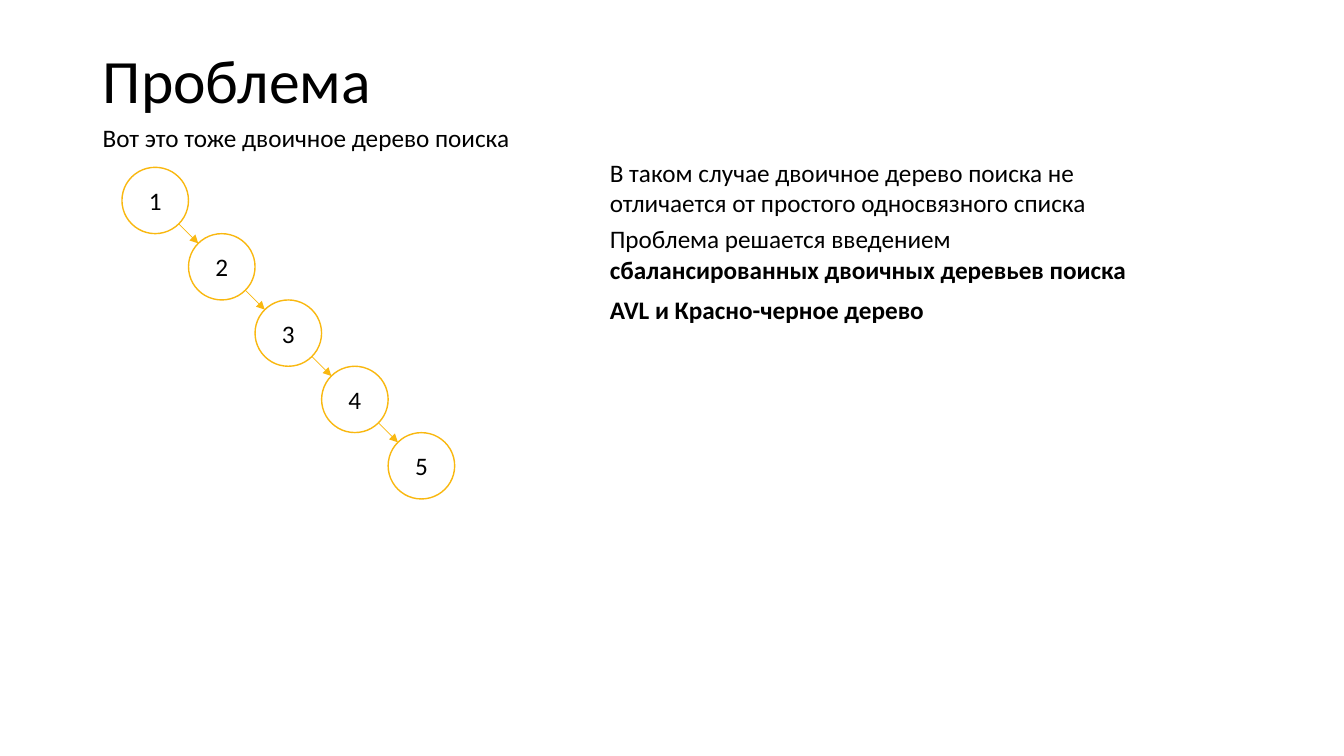
from math import sqrt

from pptx import Presentation
from pptx.dml.color import RGBColor
from pptx.enum.shapes import MSO_CONNECTOR, MSO_SHAPE
from pptx.enum.text import MSO_ANCHOR, MSO_AUTO_SIZE, PP_ALIGN
from pptx.oxml.ns import qn
from pptx.util import Pt
from lxml.etree import SubElement

PX = 9144  # 100 px to the inch
FONT = "Calibri"
COLORS = {"text": "000000", "paper": "FFFFFF", "gold": "F9B810"}


def px(*lengths):
    return [round(length * PX) for length in lengths]


def color(name):
    return RGBColor.from_string(COLORS[name])


def write(shape, *spans, size=18, align=PP_ALIGN.LEFT, anchor=MSO_ANCHOR.TOP,
          wrap=True, fit=MSO_AUTO_SIZE.NONE, spacing=None):
    """Write (text, bold) spans as one paragraph of the shape."""
    frame = shape.text_frame
    frame.word_wrap = wrap
    frame.auto_size = fit
    frame.vertical_anchor = anchor
    para = frame.paragraphs[0]
    para.alignment = align
    para.line_spacing = spacing
    for text, bold in spans:
        span = para.add_run()
        span.text = text
        span.font.name = FONT
        span.font.size = Pt(size)
        span.font.bold = bold
        span.font.color.rgb = color("text")


def add_text(page, box, *spans, **text_format):
    text_box = page.shapes.add_textbox(*px(*box))
    write(text_box, *spans, fit=MSO_AUTO_SIZE.SHAPE_TO_FIT_TEXT, **text_format)


def add_heading(page, box):
    left, top, width, height = box
    title = page.shapes.title
    title.left, title.top, title.width, title.height = px(left, top, width, height)
    write(title, ("Проблема", False), size=44, anchor=MSO_ANCHOR.MIDDLE, spacing=0.9)
    add_text(page, (left, top + 76, 429, 40),
             ("Вот это тоже двоичное дерево поиска", False), wrap=False)


def add_node(page, box, label):
    node = page.shapes.add_shape(MSO_SHAPE.OVAL, *px(*box))
    node.shadow.inherit = False
    node.fill.solid()
    node.fill.fore_color.rgb = color("paper")
    node.line.color.rgb = color("gold")
    node.line.width = Pt(1)
    write(node, (label, False), align=PP_ALIGN.CENTER, anchor=MSO_ANCHOR.MIDDLE)


def add_arrow(page, start, end):
    arrow = page.shapes.add_connector(MSO_CONNECTOR.STRAIGHT, *px(*start, *end))
    arrow.line.color.rgb = color("gold")
    arrow.line.width = Pt(0.5)
    SubElement(arrow.line._get_or_add_ln(), qn("a:tailEnd"), type="triangle")
    SubElement(arrow._element.spPr, qn("a:effectLst"))


def add_tree(page, box, labels):
    """Place equal circles corner to corner down the diagonal of the box."""
    left, top, width, height = box
    step_x, step_y = width / len(labels), height / len(labels)
    for index, label in enumerate(labels):
        add_node(page, (left + index * step_x, top + index * step_y, step_x, step_y), label)

    # Arrows run between the circles' edges at 45 degrees
    inset = (1 - 1 / sqrt(2)) / 2
    for index in range(1, len(labels)):
        start, end = [(left + place * step_x, top + place * step_y)
                      for place in (index - inset, index + inset)]
        add_arrow(page, start, end)


def add_conclusions(page, box):
    left, top, width, _ = box
    add_text(page, (left, top, width, 71),
             ("В таком случае двоичное дерево поиска не "
              "отличается от простого односвязного списка", False))
    add_text(page, (left, top + 66, width, 71),
             ("Проблема решается введением ", False),
             ("сбалансированных двоичных деревьев поиска", True))
    add_text(page, (left, top + 136, width, 40), ("AVL и Красно-черное дерево", True))


def main():
    deck = Presentation()
    deck.slide_width, deck.slide_height = px(1333, 750)
    page = deck.slides.add_slide(deck.slide_layouts[5])  # title only
    add_heading(page, (92, 40, 1150, 85))
    add_tree(page, (121, 166, 330, 329), ["1", "2", "3", "4", "5"])
    add_conclusions(page, (595, 151, 551, 176))
    deck.save("out.pptx")


if __name__ == "__main__":
    main()
